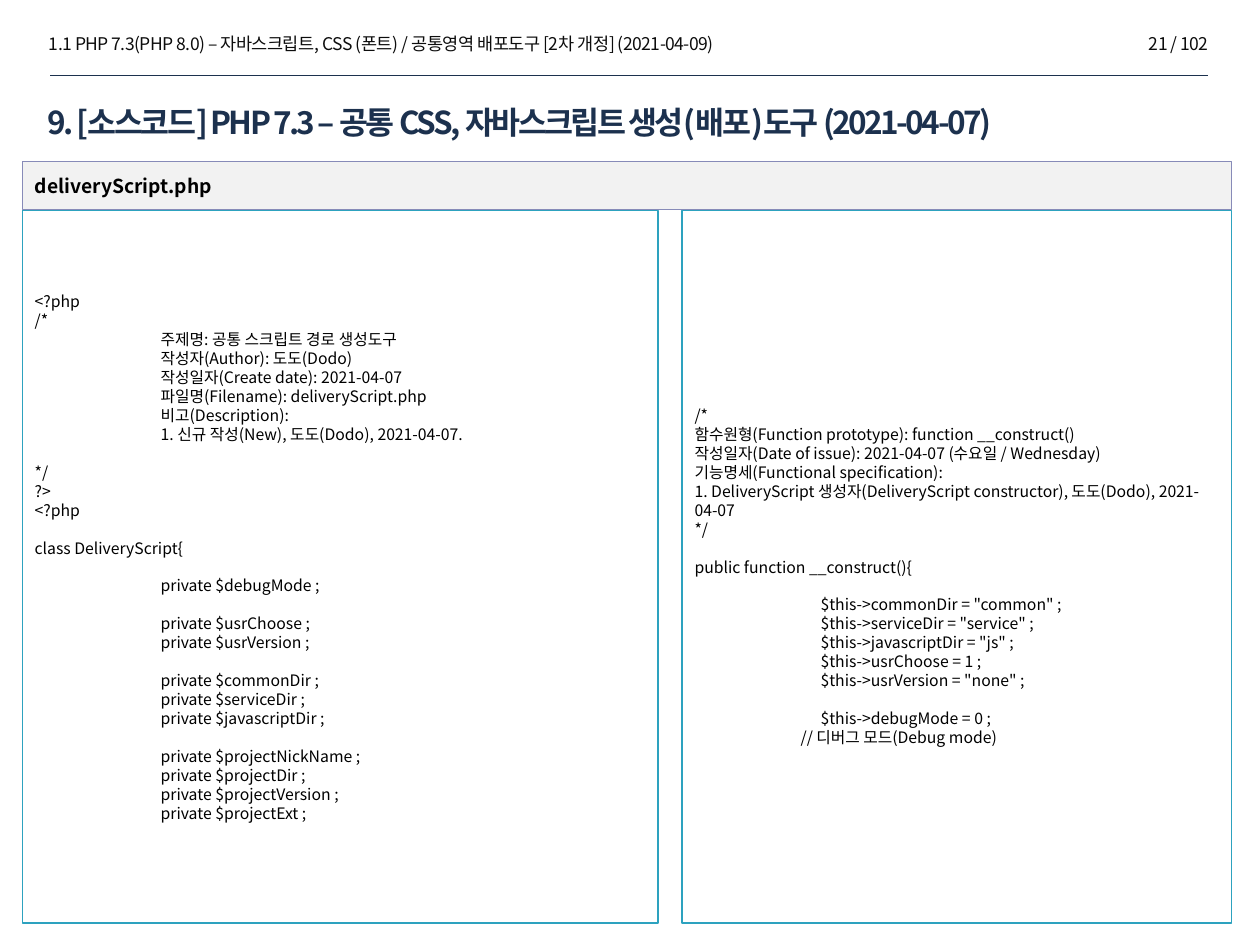
from dataclasses import dataclass

from lxml import etree
from pptx import Presentation
from pptx.dml.color import RGBColor
from pptx.enum.shapes import MSO_CONNECTOR, MSO_SHAPE
from pptx.enum.text import MSO_ANCHOR, PP_ALIGN
from pptx.oxml.ns import qn
from pptx.util import Inches, Pt

STRAIGHT = MSO_CONNECTOR.STRAIGHT
RECTANGLE = MSO_SHAPE.RECTANGLE
MIDDLE = MSO_ANCHOR.MIDDLE
LEFT, RIGHT = PP_ALIGN.LEFT, PP_ALIGN.RIGHT

WIDTH, HEIGHT = Inches(10), Inches(7.5)
TAB_STOP = Inches(1)


@dataclass(frozen=True)
class Theme:
    font: str = "Noto Sans CJK KR"
    ink: str = "000000"
    header_ink: str = "0D0D0D"
    navy: str = "1C314E"
    panel_fill: str = "FFFFFF"
    panel_line: str = "2DA2BF"
    bar_fill: str = "F2F2F2"
    bar_line: str = "878BB8"
    code_size: float = 9
    header_size: float = 10
    bar_size: float = 11
    title_size: float = 18
    code_leading: float = 10.84
    hairline: float = 0.25
    border: float = 0.75


THEME = Theme()

HEADER = "1.1 PHP 7.3(PHP 8.0) – 자바스크립트, CSS (폰트) / 공통영역 배포도구 [2차 개정] (2021-04-09)"
PAGE_NUMBER = "21 / 102"
TITLE = "9. [소스코드] PHP 7.3 – 공통 CSS, 자바스크립트 생성(배포)도구 (2021-04-07)"
FILE_NAME = "deliveryScript.php"

CLASS_CODE = """<?php
/*
\t주제명: 공통 스크립트 경로 생성도구
\t작성자(Author): 도도(Dodo)
\t작성일자(Create date): 2021-04-07
\t파일명(Filename): deliveryScript.php
\t비고(Description):
\t1. 신규 작성(New), 도도(Dodo), 2021-04-07.

*/
?>
<?php

class DeliveryScript{

\tprivate $debugMode ;

\tprivate $usrChoose ;
\tprivate $usrVersion ;

\tprivate $commonDir ;
\tprivate $serviceDir ;
\tprivate $javascriptDir ;

\tprivate $projectNickName ;
\tprivate $projectDir ;
\tprivate $projectVersion ;
\tprivate $projectExt ;"""

CONSTRUCTOR_CODE = """/*
함수원형(Function prototype): function __construct()
작성일자(Date of issue): 2021-04-07 (수요일 / Wednesday)
기능명세(Functional specification):
1. DeliveryScript 생성자(DeliveryScript constructor), 도도(Dodo), 2021-04-07
*/

public function __construct(){

\t$this->commonDir = "common" ;
\t$this->serviceDir = "service" ;
\t$this->javascriptDir = "js" ;
\t$this->usrChoose = 1 ;
\t$this->usrVersion = "none" ;

\t$this->debugMode = 0 ;
                              // 디버그 모드(Debug mode)"""


def place(left, top, width, height):
    """Turn percentages of the slide's size into lengths."""
    return (int(WIDTH * left / 100), int(HEIGHT * top / 100),
            int(WIDTH * width / 100), int(HEIGHT * height / 100))


def write(frame, text, size, color, bold=False, align=LEFT, tracking=0, leading=None):
    frame.word_wrap = True
    frame.text = text
    for para in frame.paragraphs:
        para.alignment = align
        if leading:
            para.line_spacing = Pt(leading)
        if para.text.startswith("\t"):
            tabs = etree.SubElement(para._p.get_or_add_pPr(), qn("a:tabLst"))
            etree.SubElement(tabs, qn("a:tab"), pos=str(TAB_STOP), algn="l")
        for span in para.runs:
            span.font.size = Pt(size)
            span.font.bold = bold
            span.font.name = THEME.font
            span.font.color.rgb = RGBColor.from_string(color)
            properties = span.font._element
            if tracking:
                properties.set("spc", str(round(tracking * 100)))
            etree.SubElement(properties, qn("a:ea"), typeface=THEME.font)
        if not para.runs:
            etree.SubElement(para._p, qn("a:endParaRPr"), sz=str(size * 100))


def add_label(page, box, text, size, color, **style):
    label = page.shapes.add_textbox(*place(*box))
    write(label.text_frame, text, size, color, **style)


def add_panel(page, box, fill, line):
    panel = page.shapes.add_shape(RECTANGLE, *place(*box))
    panel.shadow.inherit = False
    panel.fill.solid()
    panel.fill.fore_color.rgb = RGBColor.from_string(fill)
    panel.line.color.rgb = RGBColor.from_string(line)
    panel.line.width = Pt(THEME.border)
    panel.text_frame.vertical_anchor = MIDDLE
    return panel.text_frame


def add_header(page, box):
    left, top, width, height = box
    style = {"size": THEME.header_size, "color": THEME.header_ink, "tracking": -0.28}
    number_width = 17.3
    add_label(page, (left, top, 86.8, height), HEADER, **style)
    add_label(page, (left + width - number_width, top, number_width, height),
              PAGE_NUMBER, align=RIGHT, **style)

    start, rule_top, length, _ = place(left + 1.1, 8, width - 2.1, 0)
    rule = page.shapes.add_connector(STRAIGHT, start, rule_top, start + length, rule_top)
    rule.line.color.rgb = RGBColor.from_string(THEME.navy)
    rule.line.width = Pt(THEME.hairline)
    etree.SubElement(rule._element.spPr, qn("a:effectLst"))


def add_title(page, box):
    add_label(page, box, TITLE, THEME.title_size, THEME.navy, bold=True, tracking=-1.45)


def add_code(page, box, code, top_inset=0.05, bottom_inset=0.05):
    frame = add_panel(page, box, THEME.panel_fill, THEME.panel_line)
    frame.margin_top, frame.margin_bottom = Inches(top_inset), Inches(bottom_inset)
    write(frame, code, THEME.code_size, THEME.ink, leading=THEME.code_leading)


def add_listing(page, box):
    """Place two code columns under a bar that names their file."""
    left, top, width, height = box
    bar_height, bar_step = 5.13, 5.2
    first_width, second_width = 50.45, 43.6
    code_top, code_height = top + bar_step, height - bar_step
    add_code(page, (left, code_top, first_width, code_height),
             CLASS_CODE, bottom_inset=0.2)
    add_code(page, (left + width - second_width, code_top, second_width, code_height),
             CONSTRUCTOR_CODE, top_inset=0.2)
    bar = add_panel(page, (left, top, width, bar_height), THEME.bar_fill, THEME.bar_line)
    write(bar, FILE_NAME, THEME.bar_size, THEME.ink, bold=True)


def main():
    deck = Presentation()
    deck.slide_width, deck.slide_height = WIDTH, HEIGHT
    page = deck.slides.add_slide(deck.slide_layouts[6])
    add_header(page, (2.9, 2.8, 94, 3.6))
    add_title(page, (2.8, 10.27, 93.1, 8.53))
    add_listing(page, (1.77, 17.07, 95.97, 80.6))
    deck.save("out.pptx")


if __name__ == "__main__":
    main()
